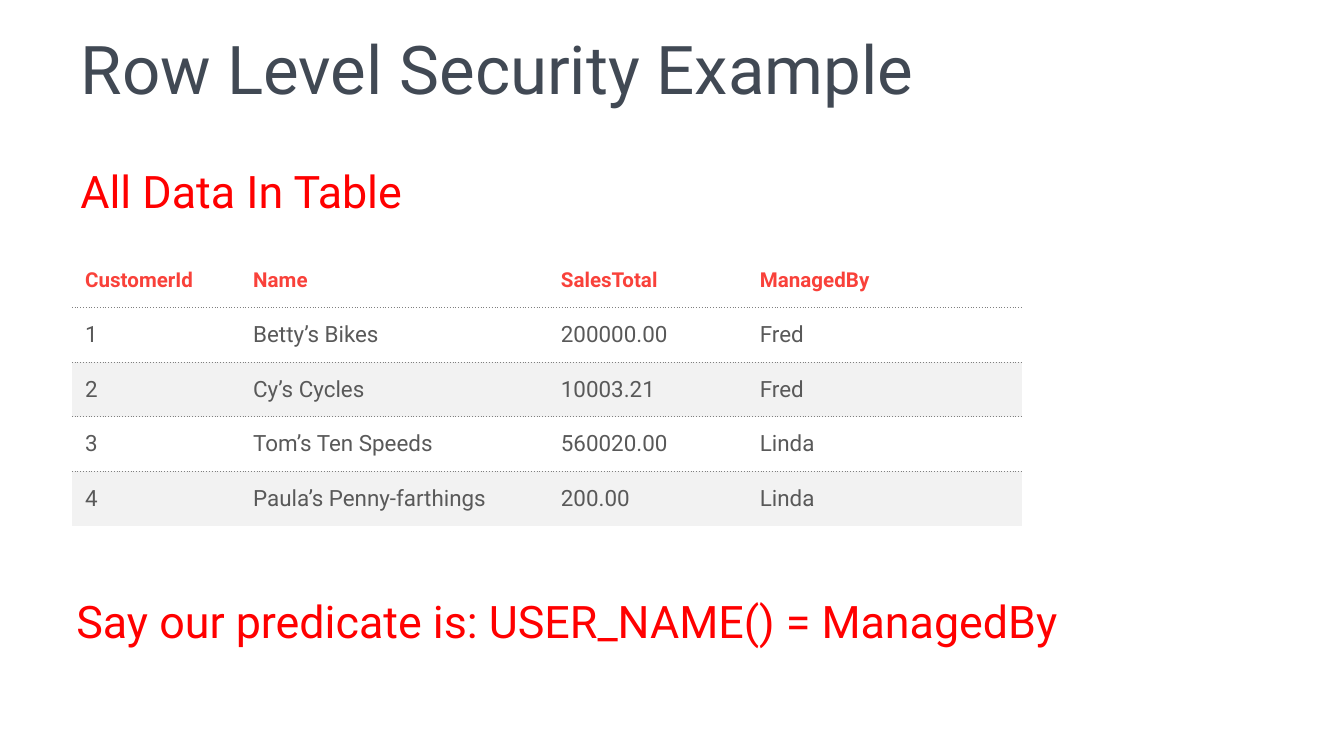
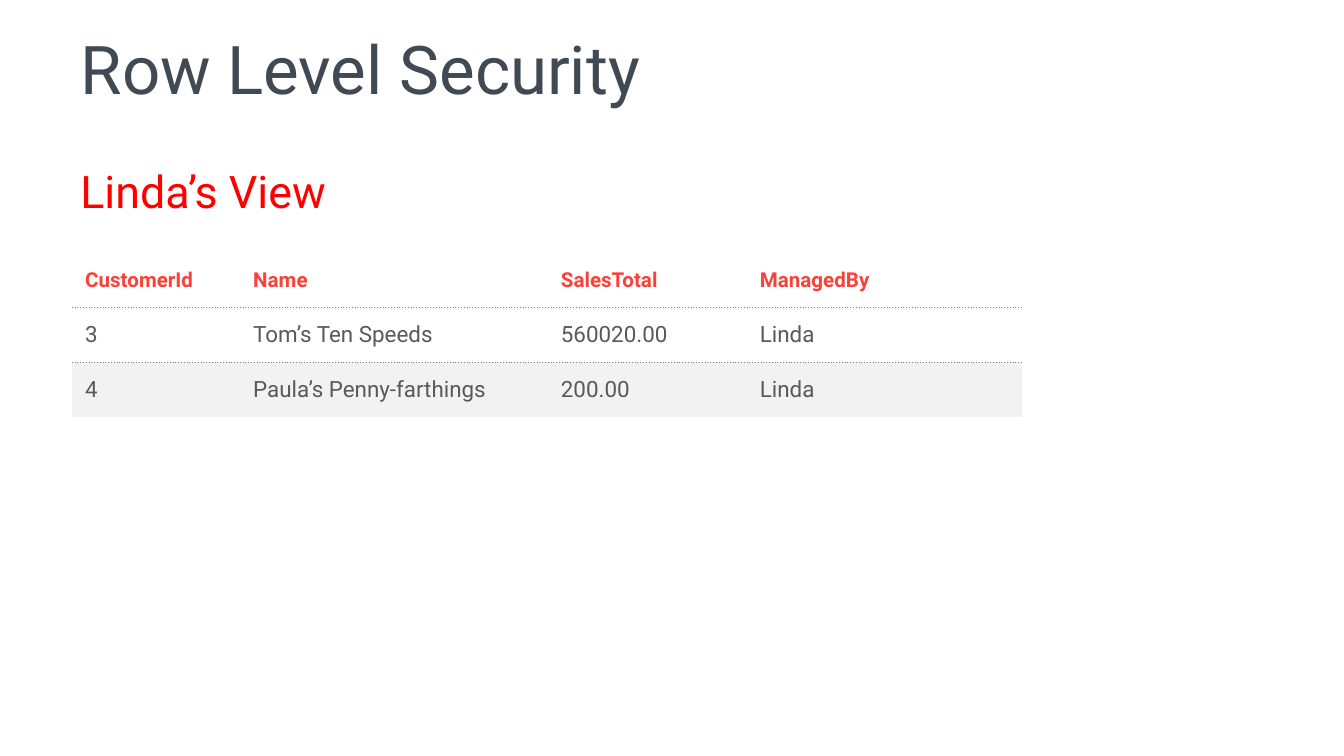
from lxml import etree
from pptx import Presentation
from pptx import util as u
from pptx.dml.color import RGBColor
from pptx.enum import text as t
from pptx.oxml.ns import qn

SLATE = RGBColor(0x41, 0x49, 0x54)
RED = RGBColor(0xFF, 0x00, 0x00)
HEADER_RED = RGBColor(0xF9, 0x41, 0x3A)
GREY = RGBColor(0x59, 0x59, 0x59)
BAND = RGBColor(0xF2, 0xF2, 0xF2)
RULE = "808080"
FONT = "Roboto"
PLAIN_TABLE = "{2D5ABB26-0587-4C30-8999-92F81FD0307C}"

# A 16:9 slide, measured in thousandths of its width
UNIT = u.Inches(0.01)
WIDTH = 1000 * UNIT
HEIGHT = WIDTH * 9 // 16
MARGIN = 50
TITLE = (MARGIN, 27, 900, 67)
SUBTITLE = (MARGIN, 117, 903, 49)
PREDICATE = (47, 437, 903, 49)
TABLE_LEFT, TABLE_TOP = 53.4, 188.3
COLUMN_WIDTHS = (125, 229, 148, 205)
ROW_HEIGHT = 40.64

HEADER = ("CustomerId", "Name", "SalesTotal", "ManagedBy")
CUSTOMERS = [
    ("1", "Betty’s Bikes", "200000.00", "Fred"),
    ("2", "Cy’s Cycles", "10003.21", "Fred"),
    ("3", "Tom’s Ten Speeds", "560020.00", "Linda"),
    ("4", "Paula’s Penny-farthings", "200.00", "Linda"),
]
LINDAS = [customer for customer in CUSTOMERS if customer[3] == "Linda"]

# Title, subtitle, table rows, closing line
SLIDES = [
    ("Row Level Security Example", "All Data In Table", CUSTOMERS,
     "Say our predicate is: USER_NAME() = ManagedBy"),
    ("Row Level Security", "Linda’s View", LINDAS, None),
]


def write(frame, words, size=24, color=RED, bold=False, spacing=None):
    frame.word_wrap = True
    frame.auto_size = t.MSO_AUTO_SIZE.NONE
    frame.vertical_anchor = t.MSO_ANCHOR.TOP
    para = frame.paragraphs[0]
    para.alignment = t.PP_ALIGN.LEFT
    para.line_spacing = spacing
    span = para.add_run()
    span.text = words
    span.font.name, span.font.size = FONT, u.Pt(size)
    span.font.bold, span.font.color.rgb = bold, color


def dot_borders(cell, sides):
    properties = cell._tc.get_or_add_tcPr()
    for position, side in enumerate(sides):
        line = etree.Element(qn(f"a:{side}"), w=str(u.Pt(0.5)))
        fill = etree.SubElement(line, qn("a:solidFill"))
        etree.SubElement(fill, qn("a:srgbClr"), val=RULE)
        etree.SubElement(line, qn("a:prstDash"), val="sysDot")
        properties.insert(position, line)


deck = Presentation()
deck.slide_width, deck.slide_height = WIDTH, HEIGHT
layout = deck.slide_layouts[5]

for heading, subtitle, customers, predicate in SLIDES:
    page = deck.slides.add_slide(layout)

    # Title
    title = page.shapes.title
    title.left, title.top, title.width, title.height = (n * UNIT for n in TITLE)
    write(title.text_frame, heading, size=36, color=SLATE, spacing=u.Pt(35))

    # Customer table with dotted rules and a band on every second data row
    records = [HEADER, *customers]
    row_height = int(ROW_HEIGHT * UNIT)
    table = page.shapes.add_table(
        len(records), len(HEADER), int(TABLE_LEFT * UNIT), int(TABLE_TOP * UNIT),
        sum(COLUMN_WIDTHS) * UNIT, len(records) * row_height).table
    table._tbl.tblPr.find(qn("a:tableStyleId")).text = PLAIN_TABLE
    table.horz_banding = False
    for column, width in zip(table.columns, COLUMN_WIDTHS):
        column.width = width * UNIT
    for r, record in enumerate(records):
        table.rows[r].height = row_height
        style = (dict(size=12, color=GREY) if r
                 else dict(size=11, color=HEADER_RED, bold=True))
        sides = ["lnT"] * (r > 0) + ["lnB"] * (r < len(records) - 1)
        for c, words in enumerate(record):
            cell = table.cell(r, c)
            write(cell.text_frame, words, **style)
            cell.vertical_anchor = t.MSO_ANCHOR.MIDDLE
            cell.margin_left = cell.margin_right = u.Inches(0.1)
            cell.margin_top = cell.margin_bottom = u.Inches(0.04)
            if r and r % 2 == 0:
                cell.fill.solid()
                cell.fill.fore_color.rgb = BAND
            else:
                cell.fill.background()
            dot_borders(cell, sides)

    # Red lines above and below the table
    for words, place in ((subtitle, SUBTITLE), (predicate, PREDICATE)):
        if words:
            box = page.shapes.add_textbox(*(n * UNIT for n in place))
            write(box.text_frame, words)

deck.save("out.pptx")
